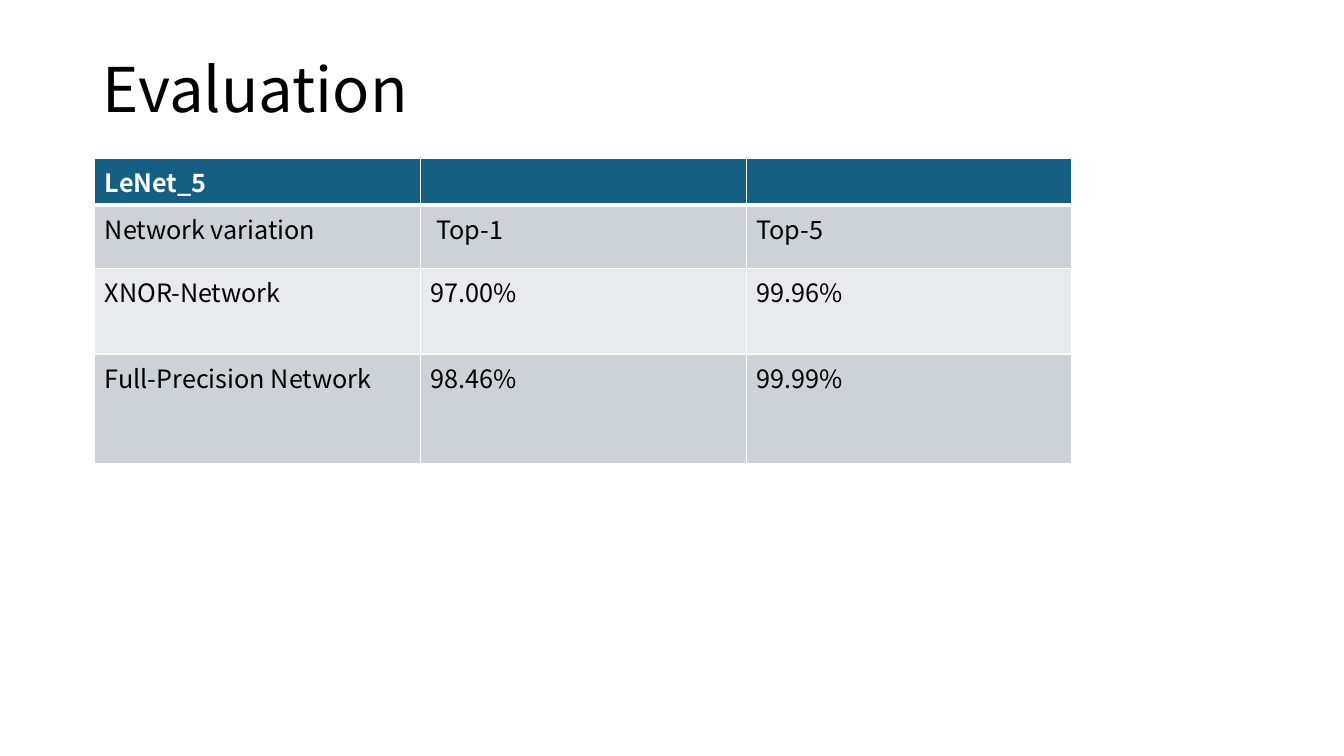
from dataclasses import dataclass

from lxml import etree
from pptx import Presentation, util as u
from pptx.dml.color import RGBColor
from pptx.enum import text
from pptx.oxml.ns import qn


@dataclass(frozen=True)
class Theme:
    font: str = "Noto Sans CJK KR"
    title_size: int = 44
    table_size: int = 18
    ink: str = "000000"
    paper: str = "FFFFFF"
    header: str = "156082"
    bands: tuple = ("CCD2D8", "E8EAED")
    rule: int = 1
    header_rule: int = 3


THEME = Theme()
SLIDE_SIZE = (13.33, 7.5)
TITLE_BOX = (0.92, 0.18, 11.5, 1.47)
TABLE_BOX = (0.94, 1.57, 9.69, 2.98)
ROW_HEIGHTS = (0.41, 0.63, 0.85, 1.09)
ACCURACY = (
    ("LeNet_5", "", ""),
    ("Network variation", " Top-1", "Top-5"),
    ("XNOR-Network", "97.00%", "99.96%"),
    ("Full-Precision Network", "98.46%", "99.99%"),
)


def format_font(font, size, color, bold=False):
    for name, value in {"name": THEME.font, "size": u.Pt(size), "bold": bold}.items():
        setattr(font, name, value)
    font.color.rgb = RGBColor.from_string(color)


def add_title(slide, box, wording):
    title = slide.shapes.title
    for side, length in zip(("left", "top", "width", "height"), box):
        setattr(title, side, u.Inches(length))
    frame = title.text_frame
    frame.text = wording
    frame.vertical_anchor = text.MSO_ANCHOR.MIDDLE
    line = frame.paragraphs[0]
    line.alignment = text.PP_ALIGN.LEFT
    line.line_spacing = 0.9
    format_font(line.runs[0].font, THEME.title_size, THEME.ink)


def rule_cell(cell, widths):
    """Draw the cell's borders; must run before its fill is set."""
    properties = cell._tc.get_or_add_tcPr()
    for side, width in widths.items():
        border = etree.SubElement(properties, qn(f"a:ln{side}"), w=str(u.Pt(width)))
        fill = etree.SubElement(border, qn("a:solidFill"))
        etree.SubElement(fill, qn("a:srgbClr"), val=THEME.paper)


def add_accuracy_table(slide, box, records):
    left, top, width, height = map(u.Inches, box)
    columns = len(records[0])
    table = slide.shapes.add_table(len(records), columns, left, top, width, height).table
    for column in table.columns:
        column.width = width // columns
    for r, (record, row_height) in enumerate(zip(records, ROW_HEIGHTS)):
        table.rows[r].height = u.Inches(row_height)
        is_header = r == 0
        widths = {"L": THEME.rule, "R": THEME.rule,
                  "T": THEME.header_rule if r == 1 else THEME.rule,
                  "B": THEME.header_rule if is_header else THEME.rule}
        background = THEME.header if is_header else THEME.bands[(r - 1) % 2]
        for c, wording in enumerate(record):
            cell = table.cell(r, c)
            rule_cell(cell, widths)
            cell.fill.solid()
            cell.fill.fore_color.rgb = RGBColor.from_string(background)
            cell.text = wording
            format_font(cell.text_frame.paragraphs[0].font, THEME.table_size,
                        THEME.paper if is_header else THEME.ink, is_header)
            for run in cell.text_frame.paragraphs[0].runs:
                format_font(run.font, THEME.table_size,
                            THEME.paper if is_header else THEME.ink, is_header)


def main():
    deck = Presentation()
    deck.slide_width, deck.slide_height = map(u.Inches, SLIDE_SIZE)
    slide = deck.slides.add_slide(deck.slide_layouts.get_by_name("Title Only"))
    add_title(slide, TITLE_BOX, "Evaluation")
    add_accuracy_table(slide, TABLE_BOX, ACCURACY)
    deck.save("out.pptx")


if __name__ == "__main__":
    main()
